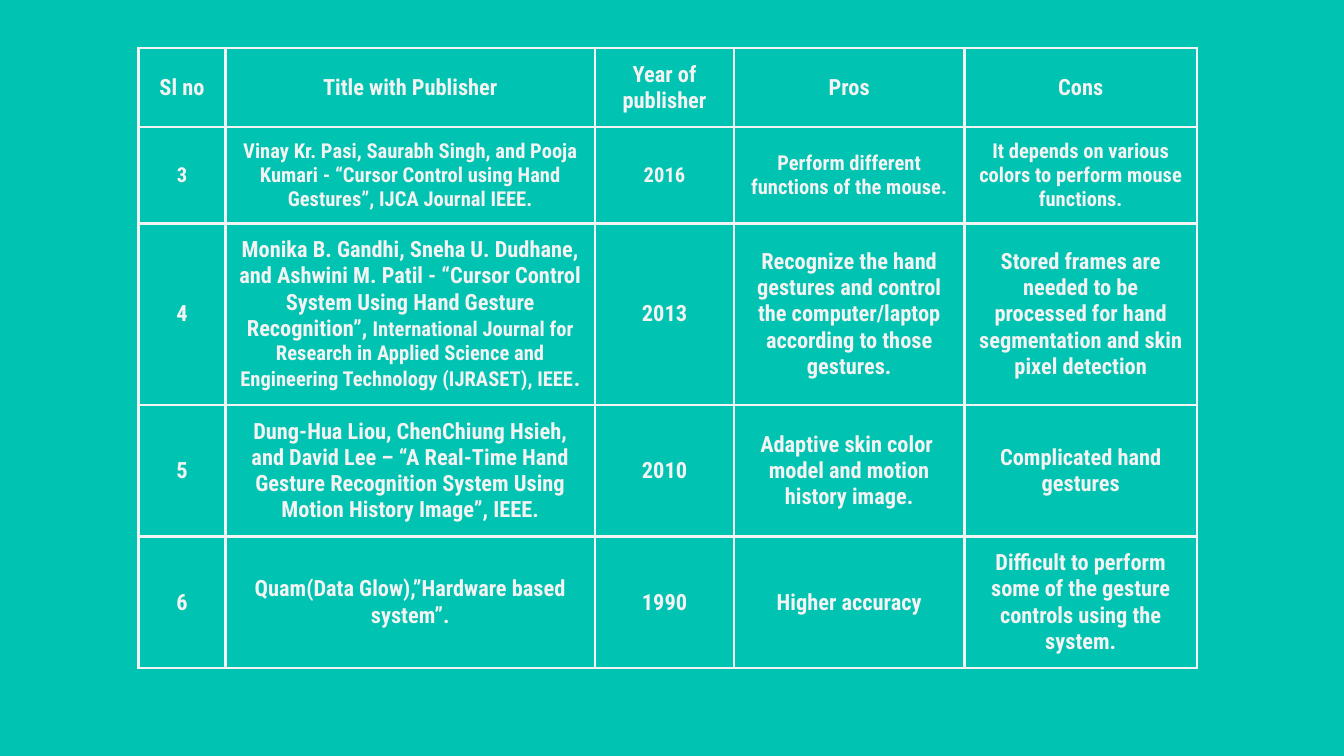
"""Build a slide with a literature survey table on hand gesture control."""
from dataclasses import dataclass

from lxml.etree import SubElement
from pptx import Presentation
from pptx.dml.color import RGBColor as RGB
from pptx.enum.text import MSO_ANCHOR as ANCHOR, PP_ALIGN as ALIGN
from pptx.oxml.ns import qn
from pptx.util import Cm, Pt


@dataclass(frozen=True)
class Theme:
    background: str = "00C3B1"
    ink: str = "F3F3F3"
    font: str = "Roboto Condensed"
    body: float = 12
    small: float = 11
    border: float = 1.5


theme = Theme()


def add_run(p, text, size):
    r = p.add_run()
    r.text = text
    r.font.name = theme.font
    r.font.size = Pt(size)
    r.font.bold = True
    r.font.color.rgb = RGB.from_string(theme.ink)


def set_borders(cell):
    tc_pr = cell._tc.get_or_add_tcPr()
    for i, side in enumerate(("lnL", "lnR", "lnT", "lnB")):
        ln = SubElement(tc_pr, qn(f"a:{side}"), w=str(Pt(theme.border)))
        fill = SubElement(ln, qn("a:solidFill"))
        SubElement(fill, qn("a:srgbClr"), val=theme.ink)
        tc_pr.insert(i, ln)


gandhi = [
    ("Monika B. Gandhi, Sneha U. Dudhane, and Ashwini M. Patil - “Cursor Control "
     "System Using Hand Gesture Recognition”, ", theme.body),
    ("International Journal for Research in Applied Science and Engineering "
     "Technology (IJRASET), IEEE", theme.small),
    (".", theme.body),
]
rows = [
    ["Sl no", "Title with Publisher", "Year of publisher", "Pros", "Cons"],
    ["3",
     "Vinay Kr. Pasi, Saurabh Singh, and Pooja Kumari - “Cursor Control using Hand "
     "Gestures”, IJCA Journal IEEE.",
     "2016",
     "Perform different functions of the mouse.",
     "It depends on various colors to perform mouse functions."],
    ["4", gandhi, "2013",
     "Recognize the hand gestures and control the computer/laptop according to "
     "those gestures.",
     "Stored frames are needed to be processed for hand segmentation and skin "
     "pixel detection"],
    ["5",
     "Dung-Hua Liou, ChenChiung Hsieh, and David Lee – “A Real-Time Hand Gesture "
     "Recognition System Using Motion History Image”, IEEE.",
     "2010",
     "Adaptive skin color \nmodel and motion history image.",
     "Complicated hand gestures"],
    ["6", "Quam(Data Glow),”Hardware based system”.", "1990", "Higher accuracy",
     "Difficult to perform some of the gesture controls using the system."],
]
col_widths = [1.64, 6.99, 2.62, 4.36, 4.39]
row_height = 1.35
small_row = 1

prs = Presentation()
prs.slide_width, prs.slide_height = Cm(25.4), Cm(14.29)
s = prs.slides.add_slide(prs.slide_layouts[6])
s.background.fill.solid()
s.background.fill.fore_color.rgb = RGB.from_string(theme.background)

table = s.shapes.add_table(
    len(rows), len(col_widths), Cm(2.62), Cm(0.91),
    Cm(sum(col_widths)), Cm(row_height * len(rows))).table
table.first_row = table.horz_banding = False
for col, width in zip(table.columns, col_widths):
    col.width = Cm(width)

for i, row in enumerate(rows):
    table.rows[i].height = Cm(row_height)
    size, inset = (theme.small, 0.23) if i == small_row else (theme.body, 0.25)
    for j, content in enumerate(row):
        cell = table.cell(i, j)
        cell.fill.background()
        cell.vertical_anchor = ANCHOR.MIDDLE
        cell.margin_left = cell.margin_right = Cm(inset)
        cell.margin_top = cell.margin_bottom = Cm(inset)
        set_borders(cell)
        tf = cell.text_frame
        if isinstance(content, str):
            paragraphs = [[(line, size)] for line in content.split("\n")]
        else:
            paragraphs = [content]
        for k, runs in enumerate(paragraphs):
            p = tf.add_paragraph() if k else tf.paragraphs[0]
            p.alignment = ALIGN.CENTER
            for text, run_size in runs:
                add_run(p, text, run_size)

prs.save("out.pptx")
